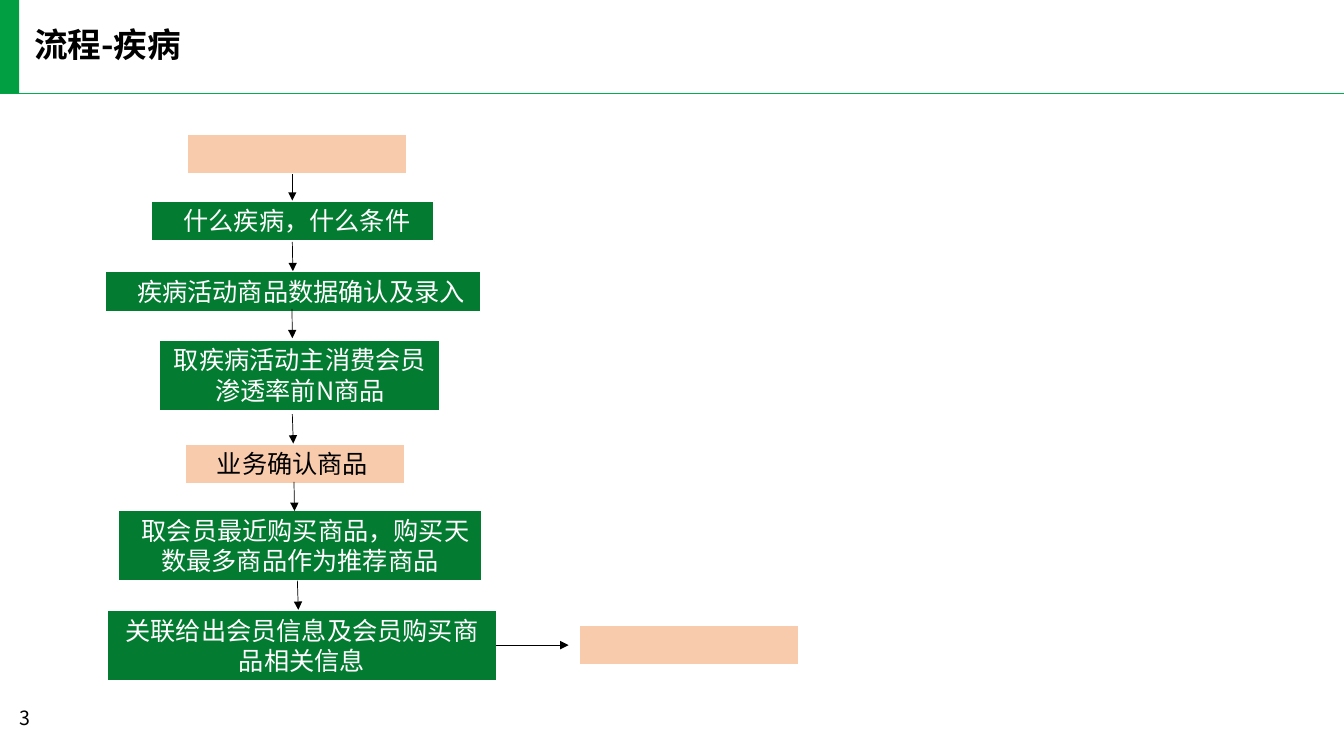
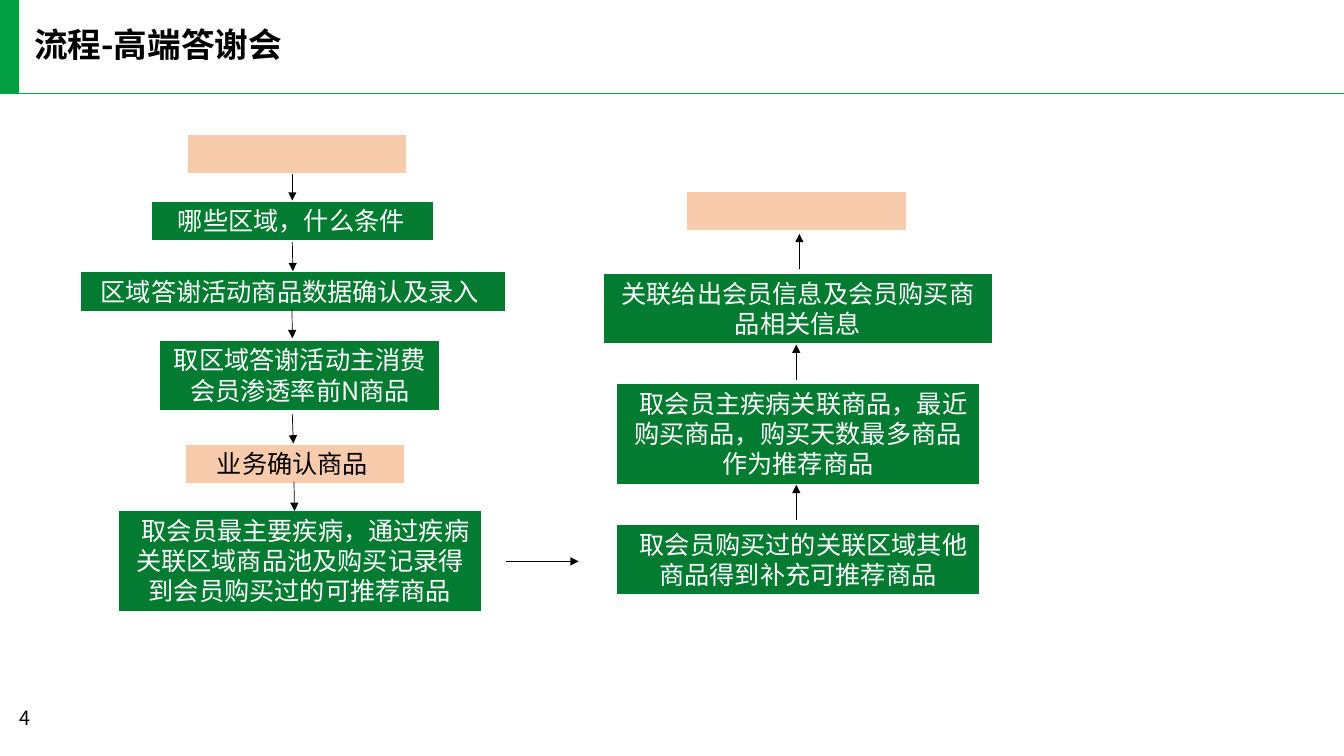
"""Build two flowchart slides that share a header, page number and step style."""
from pptx import Presentation
from pptx.dml.color import RGBColor
from pptx.enum.shapes import MSO_CONNECTOR as Connector, MSO_SHAPE as Shape
from pptx.enum.text import MSO_ANCHOR as Anchor, MSO_AUTO_SIZE as AutoSize, PP_ALIGN as Align
from pptx.oxml.ns import qn
from pptx.util import Pt
from lxml.etree import SubElement

FONT = "Noto Sans CJK SC"
BLACK, WHITE = "000000", "FFFFFF"
BAR, RULE, GREEN, PEACH = "029E42", "00B050", "037C32", "F8CBAD"


def write(shape, text, size, color, bold=False, indent=0, align=Align.LEFT):
    paragraph = shape.text_frame.paragraphs[0]
    paragraph.text = text
    paragraph.alignment = align
    if indent:
        paragraph._p.get_or_add_pPr().set("indent", str(Pt(indent)))
    font = paragraph.font
    font.name, font.size, font.bold = FONT, Pt(size), bold
    font.color.rgb = RGBColor.from_string(color)
    SubElement(font._rPr, qn("a:ea")).set("typeface", FONT)
    return paragraph


def draw_line(slide, ends, color, width, arrow=False):
    connector = slide.shapes.add_connector(Connector.STRAIGHT, *map(Pt, ends))
    connector.line.color.rgb = RGBColor.from_string(color)
    connector.line.width = Pt(width)
    if arrow:
        SubElement(connector.line._get_or_add_ln(), qn("a:tailEnd")).set("type", "triangle")
    SubElement(connector._element.spPr, qn("a:effectLst"))


LEFT, CENTER = Align.LEFT, Align.CENTER
shared_steps = [
    (133.2, 95.8, 157.7, 28.8, PEACH, "", 0, LEFT),
    (131.8, 316.8, 157.7, 29, PEACH, "业务确认商品", 16, LEFT),
]
shared_arrows = [
    (208.8, 124.6, 208.8, 143.3),
    (208.8, 172.8, 209.2, 193.7),
    (208.6, 220.7, 208.8, 241.6),
    (208.8, 295.9, 209.5, 316.8),
    (210, 344.2, 210.4, 365),
]
flows = [
    (3, "流程-疾病", [
        (108, 143.3, 202.3, 29, GREEN, "什么疾病，什么条件", 16, LEFT),
        (74.9, 193.7, 268.6, 29, GREEN, "疾病活动商品数据确认及录入", 16, LEFT),
        (113.8, 242.6, 200.9, 51, GREEN, "取疾病活动主消费会员渗透率前N商品", 0, CENTER),
        (84.2, 364.3, 260, 51, GREEN, "取会员最近购买商品，购买天数最多商品作为推荐商品", 8, CENTER),
        (76.3, 435.6, 278.6, 51, GREEN, "关联给出会员信息及会员购买商品相关信息", 0, CENTER),
        (413.3, 446.4, 157.7, 28.8, PEACH, "", 0, LEFT),
    ], [
        (212.4, 414.7, 213.1, 435.6),
        (354.2, 460.8, 406.1, 460.8),
    ]),
    (4, "流程-高端答谢会", [
        (108, 143.3, 202.3, 29, GREEN, "哪些区域，什么条件", 12, LEFT),
        (56.9, 193.7, 304.6, 29, GREEN, "区域答谢活动商品数据确认及录入", 8, LEFT),
        (113.8, 242.6, 200.9, 51, GREEN, "取区域答谢活动主消费会员渗透率前N商品", 0, CENTER),
        (84.2, 364.3, 260, 72.7, GREEN,
         "取会员最主要疾病，通过疾病关联区域商品池及购买记录得到会员购买过的可推荐商品", 8, CENTER),
        (439.9, 374.4, 260, 51, GREEN, "取会员购买过的关联区域其他商品得到补充可推荐商品", 8, CENTER),
        (439.9, 273.6, 260, 72.7, GREEN,
         "取会员主疾病关联商品，最近购买商品，购买天数最多商品作为推荐商品", 8, CENTER),
        (430.6, 195.1, 278.6, 51, GREEN, "关联给出会员信息及会员购买商品相关信息", 0, CENTER),
        (490.3, 136.1, 157.7, 28.8, PEACH, "", 0, LEFT),
    ], [
        (361.4, 401, 413.3, 401),
        (568.8, 371.5, 568.8, 346.3),
        (568.8, 271.4, 568.8, 246.2),
        (571, 192.2, 571, 167),
    ]),
]

presentation = Presentation()
presentation.slide_width, presentation.slide_height = Pt(960), Pt(540)

for number, heading, steps, arrows in flows:
    slide = presentation.slides.add_slide(presentation.slide_layouts[6])
    draw_line(slide, (0, 67, 960, 67), RULE, 1)
    bar = slide.shapes.add_shape(Shape.RECTANGLE, Pt(0), Pt(0), Pt(13.7), Pt(67))
    bar.shadow.inherit = False
    bar.fill.solid()
    bar.fill.fore_color.rgb = RGBColor.from_string(BAR)
    bar.line.fill.background()

    title = slide.shapes.add_textbox(Pt(24.5), Pt(20.2), Pt(453), Pt(26))
    frame = title.text_frame
    frame.word_wrap, frame.vertical_anchor = True, Anchor.MIDDLE
    frame.margin_left = frame.margin_right = frame.margin_top = frame.margin_bottom = 0
    write(title, heading, 24, BLACK, bold=True).line_spacing = 0.9

    page_number = slide.shapes.add_textbox(Pt(6.5), Pt(500.4), Pt(65.5), Pt(28.8))
    page_number.text_frame.word_wrap = True
    write(page_number, str(number), 14, BLACK)

    for left, top, width, height, fill, text, indent, align in shared_steps + steps:
        step = slide.shapes.add_shape(Shape.RECTANGLE, Pt(left), Pt(top), Pt(width), Pt(height))
        step.shadow.inherit = False
        step.fill.solid()
        step.fill.fore_color.rgb = RGBColor.from_string(fill)
        step.line.color.rgb = RGBColor.from_string(WHITE)
        step.line.width = Pt(1.5)
        if text:
            step.text_frame.word_wrap = True
            step.text_frame.auto_size = AutoSize.SHAPE_TO_FIT_TEXT
            step.text_frame.vertical_anchor = Anchor.TOP
            write(step, text, 18, BLACK if fill == PEACH else WHITE, indent=indent, align=align)

    for ends in shared_arrows + arrows:
        draw_line(slide, ends, BLACK, 0.5, arrow=True)

presentation.save("out.pptx")
